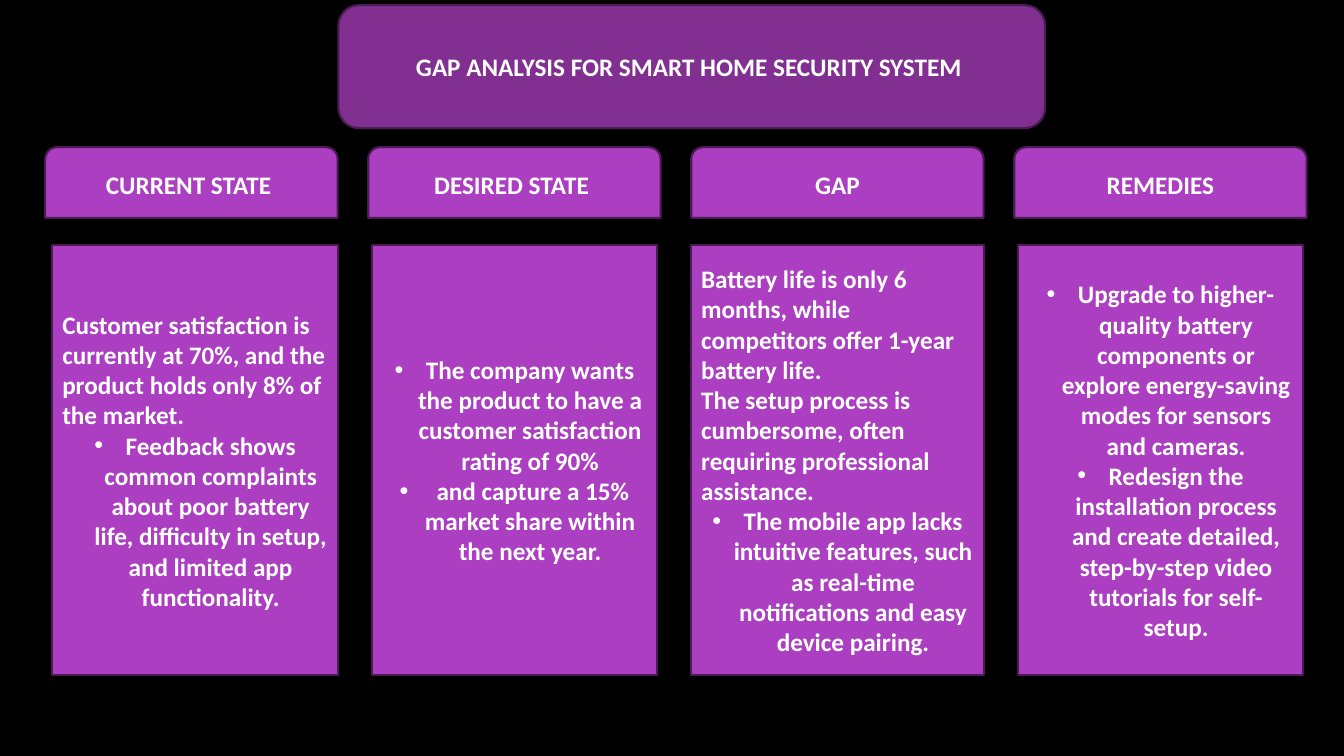
from lxml import etree
from pptx import Presentation
from pptx.dml.color import RGBColor
from pptx.enum.shapes import MSO_SHAPE
from pptx.enum.text import MSO_ANCHOR, PP_ALIGN
from pptx.oxml.ns import qn
from pptx.util import Cm, Pt

BLACK = RGBColor(0x00, 0x00, 0x00)
WHITE = RGBColor(0xFF, 0xFF, 0xFF)
ORCHID = RGBColor(0xAC, 0x3E, 0xC1)
PURPLE = RGBColor(0x81, 0x2F, 0x91)
OUTLINE = RGBColor(0x4B, 0x1B, 0x55)

RECTANGLE = MSO_SHAPE.RECTANGLE
ROUNDED = MSO_SHAPE.ROUNDED_RECTANGLE
ROUNDED_TOP = MSO_SHAPE.ROUND_2_SAME_RECTANGLE
MIDDLE = MSO_ANCHOR.MIDDLE
LEFT, CENTER = PP_ALIGN.LEFT, PP_ALIGN.CENTER

HEADER_LEFT, HEADER_PITCH = 1.14, 8.14
BULLET_INDENT = Cm(0.79)

# Heading, body left, body width, plain lead paragraphs, bulleted paragraphs
COLUMNS = [
    ("CURRENT STATE ", 1.32, 7.19,
     ["Customer satisfaction is currently at 70%, and the product holds only 8% of the market."],
     ["Feedback shows common complaints about poor battery life, difficulty in setup, "
      "and limited app functionality."]),
    ("DESIRED STATE ", 9.37, 7.19,
     [],
     ["The company wants the product to have a customer satisfaction rating of 90%",
      " and capture a 15% market share within the next year."]),
    ("GAP", 17.42, 7.37,
     ["Battery life is only 6 months, while competitors offer 1-year battery life.",
      "The setup process is cumbersome, often requiring professional assistance."],
     ["The mobile app lacks intuitive features, such as real-time notifications "
      "and easy device pairing."]),
    ("REMEDIES", 25.65, 7.19,
     [],
     ["Upgrade to higher-quality battery components or explore energy-saving modes "
      "for sensors and cameras.",
      "Redesign the installation process and create detailed, step-by-step video "
      "tutorials for self-setup."]),
]


def add_box(kind, left, top, width, height, fill=ORCHID):
    box = page.shapes.add_shape(kind, Cm(left), Cm(top), Cm(width), Cm(height))
    box.shadow.inherit = False
    box.fill.solid()
    box.fill.fore_color.rgb = fill
    box.line.color.rgb = OUTLINE
    box.line.width = Pt(1.5)
    box.text_frame.word_wrap = True
    box.text_frame.vertical_anchor = MIDDLE
    return box


def write(box, text, align=CENTER, bullet=False):
    """Fill the box's first paragraph, or add one if it already has text."""
    frame = box.text_frame
    para = frame.add_paragraph() if frame.text else frame.paragraphs[0]
    para.alignment = align
    if bullet:
        properties = para._p.get_or_add_pPr()
        properties.set("marL", str(BULLET_INDENT))
        properties.set("indent", str(-BULLET_INDENT))
        etree.SubElement(properties, qn("a:buFont")).set("typeface", "Arial")
        etree.SubElement(properties, qn("a:buChar")).set("char", "•")
    span = para.add_run()
    span.text = text
    span.font.name = "Calibri"
    span.font.size = Pt(18)
    span.font.bold = True
    span.font.color.rgb = WHITE


deck = Presentation()
deck.slide_width, deck.slide_height = Cm(33.87), Cm(19.05)
page = deck.slides.add_slide(deck.slide_layouts[6])
page.background.fill.solid()
page.background.fill.fore_color.rgb = BLACK

for index, (heading, left, width, leads, bullets) in enumerate(COLUMNS):
    header = add_box(ROUNDED_TOP, HEADER_LEFT + index * HEADER_PITCH, 3.71, 7.37, 1.78)
    write(header, heading)

    body = add_box(RECTANGLE, left, 6.17, width, 10.85)
    for lead in leads:
        write(body, lead, align=LEFT)
    for item in bullets:
        write(body, item, bullet=True)

title = add_box(ROUNDED, 8.53, 0.13, 17.81, 3.1, fill=PURPLE)
write(title, "GAP ANALYSIS FOR SMART HOME SECURITY SYSTEM ")

deck.save("out.pptx")
